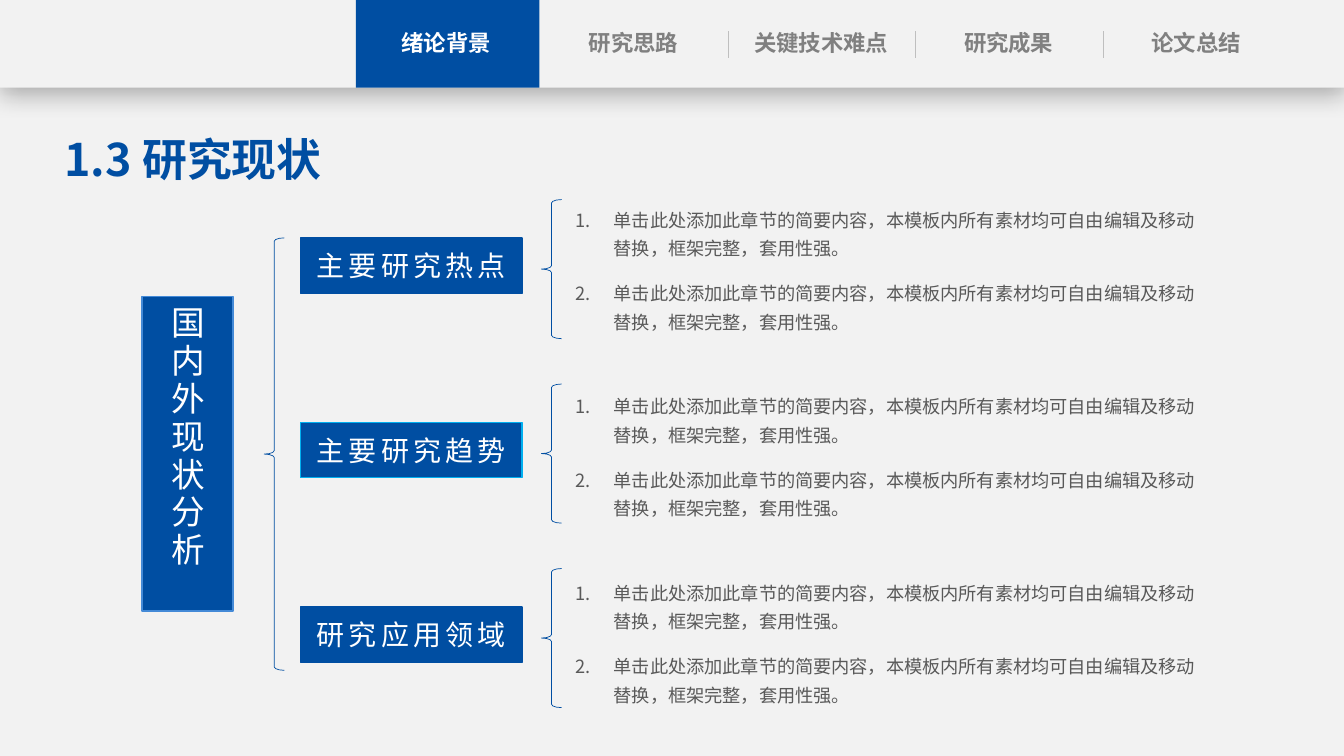
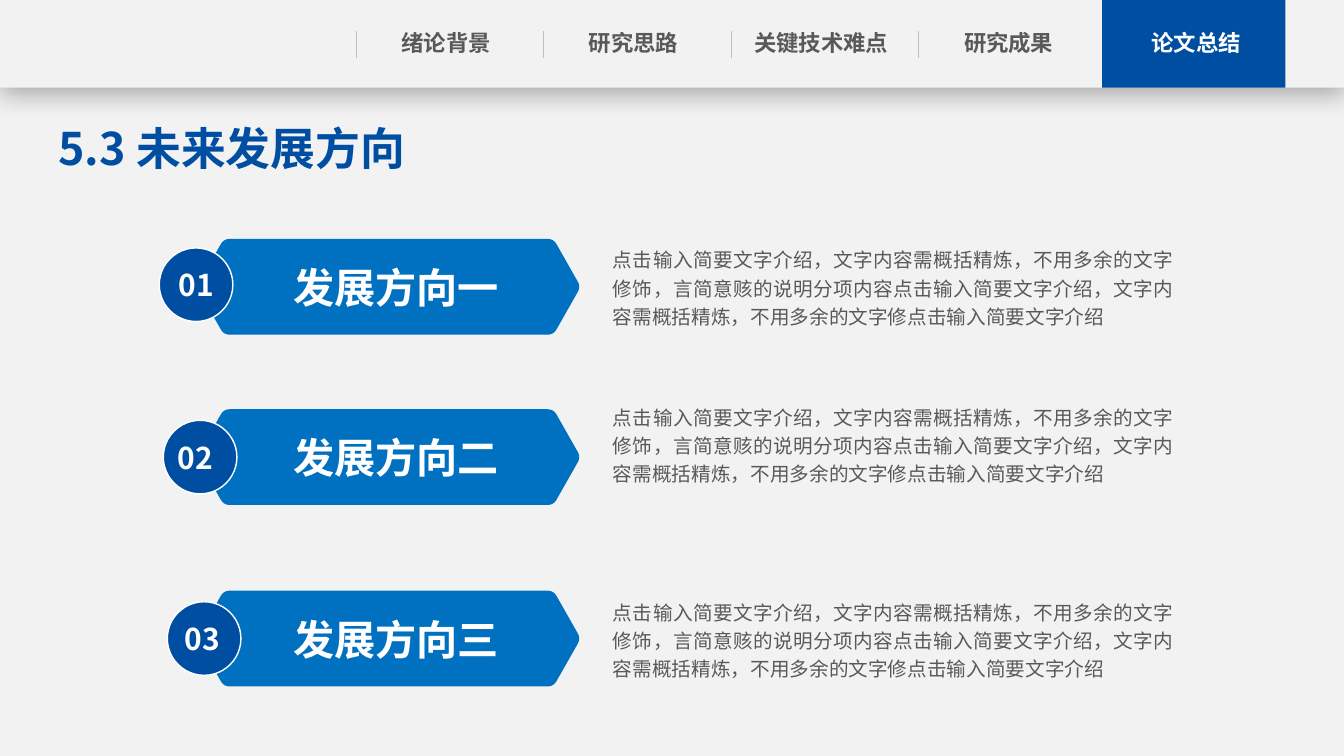
"""Builds two thesis-defence slides: research status and future directions."""
import dataclasses

import lxml.etree
import pptx
import pptx.dml.color
import pptx.enum.shapes
import pptx.enum.text
import pptx.oxml.ns
import pptx.util

Inches = pptx.util.Inches
Pt = pptx.util.Pt
SHAPE = pptx.enum.shapes.MSO_SHAPE
ALIGN = pptx.enum.text.PP_ALIGN
ANCHOR = pptx.enum.text.MSO_ANCHOR
qn = pptx.oxml.ns.qn


@dataclasses.dataclass(frozen=True)
class Theme:
    font: str = "Noto Sans CJK SC"
    paper: str = "F2F2F2"
    navy: str = "004EA2"
    blue: str = "0070C0"
    cyan: str = "00B0F0"
    sky: str = "448AD7"
    white: str = "FFFFFF"
    body: str = "595959"
    muted: str = "808080"
    divider: str = "BFBFBF"
    title_size: float = 32
    direction_size: float = 29.4
    subject_size: float = 24
    badge_size: float = 21.4
    topic_size: float = 20
    nav_size: float = 16
    summary_size: float = 14
    list_size: float = 13


THEME = Theme()
SECTIONS = ["绪论背景", "研究思路", "关键技术难点", "研究成果", "论文总结"]
NAV_STEP = 1.86
BAND_HEIGHT = 0.87
TOPICS = [("主要研究热点", THEME.navy), ("主要研究趋势", THEME.cyan), ("研究应用领域", THEME.navy)]
TOPIC_NOTE = "单击此处添加此章节的简要内容，本模板内所有素材均可自由编辑及移动替换，框架完整，套用性强。"
DIRECTIONS = [
    ("01", "发展方向一", 2.37, 1.58, 2.46, 0, 2.42),
    ("02", "发展方向二", 4.06, 1.62, 4.17, 0.09, 3.98),
    ("03", "发展方向三", 5.86, 1.66, 5.97, 0.03, 5.92),
]
DIRECTION_NOTE = (
    "点击输入简要文字介绍，文字内容需概括精炼，不用多余的文字修饰，"
    "言简意赅的说明分项内容点击输入简要文字介绍，文字内容需概括精炼，"
    "不用多余的文字修点击输入简要文字介绍"
)


def rgb(color):
    return pptx.dml.color.RGBColor.from_string(color)


def write_text(shape, *paragraphs, size, color, bold=False, align=ALIGN.LEFT, anchor=ANCHOR.TOP,
               insets=(0.1, 0.05, 0.1, 0.05), tracking=0, line_spacing=None, gap=0,
               numbered=False, vertical=False):
    frame = shape.text_frame
    frame.word_wrap = True
    frame.auto_size = pptx.enum.text.MSO_AUTO_SIZE.NONE
    frame.vertical_anchor = anchor
    frame.margin_left, frame.margin_top, frame.margin_right, frame.margin_bottom = map(Inches, insets)
    if vertical:
        frame._txBody.bodyPr.set("vert", "eaVert")
    for index, text in enumerate(paragraphs):
        paragraph = frame.add_paragraph() if index else frame.paragraphs[0]
        paragraph.alignment = align
        paragraph.space_before = paragraph.space_after = Pt(gap)
        if line_spacing:
            paragraph.line_spacing = line_spacing
        if numbered:
            properties = paragraph._p.get_or_add_pPr()
            properties.set("marL", str(Inches(0.38)))
            properties.set("indent", str(-Inches(0.38)))
            lxml.etree.SubElement(properties, qn("a:buAutoNum"), type="arabicPeriod")
        run = paragraph.add_run()
        run.text = text
        run.font.size = Pt(size)
        run.font.bold = bold
        run.font.color.rgb = rgb(color)
        run.font.name = THEME.font
        run_properties = run._r.get_or_add_rPr()
        lxml.etree.SubElement(run_properties, qn("a:ea"), typeface=THEME.font)
        if tracking:
            run_properties.set("spc", str(tracking * 100))


def rounded_outline(corners, trim, steps=6):
    points = []
    for index, (x, y) in enumerate(corners):
        ends = []
        for nx, ny in (corners[index - 1], corners[(index + 1) % len(corners)]):
            share = trim / ((nx - x) ** 2 + (ny - y) ** 2) ** 0.5
            ends.append((x + (nx - x) * share, y + (ny - y) * share))
        (ax, ay), (bx, by) = ends
        for step in range(steps + 1):
            t = step / steps
            a, c, b = (1 - t) ** 2, 2 * t * (1 - t), t ** 2
            points.append((a * ax + c * x + b * bx, a * ay + c * y + b * by))
    return points


class Deck:
    def __init__(self, theme):
        self.theme = theme
        self.prs = pptx.Presentation()
        self.prs.slide_width, self.prs.slide_height = Inches(13.33), Inches(7.5)
        background = self.prs.slide_master.background.fill
        background.solid()
        background.fore_color.rgb = rgb(theme.paper)
        self.slide = None

    def paint(self, shape, fill=None, line=None, weight=1):
        shape.shadow.inherit = False
        if fill:
            shape.fill.solid()
            shape.fill.fore_color.rgb = rgb(fill)
        else:
            shape.fill.background()
        if line:
            shape.line.color.rgb = rgb(line)
            shape.line.width = Pt(weight)
        else:
            shape.line.fill.background()
        return shape

    def shape(self, kind, left, top, width, height, **look):
        box = map(Inches, (left, top, width, height))
        return self.paint(self.slide.shapes.add_shape(kind, *box), **look)

    def text(self, left, top, width, height, *paragraphs, **style):
        box = self.slide.shapes.add_textbox(*map(Inches, (left, top, width, height)))
        write_text(box, *paragraphs, **style)

    def brace(self, left, top, height):
        brace = self.shape(SHAPE.LEFT_BRACE, left, top, 0.2, height,
                           line=self.theme.navy, weight=0.5)
        brace.adjustments[0] = 0.17

    def divider(self, x):
        line = self.slide.shapes.add_connector(
            pptx.enum.shapes.MSO_CONNECTOR.STRAIGHT, *map(Inches, (x, 0.31, x, 0.58)))
        line.line.color.rgb = rgb(self.theme.divider)
        line.line.width = Pt(0.5)
        lxml.etree.SubElement(line._element.spPr, qn("a:effectLst"))

    def arrow(self, top, label):
        left, right, slope, height = 1.95, 5.76, 0.27, 0.95
        middle, bottom = top + height / 2, top + height
        corners = [(left + slope, top), (right - slope, top), (right, middle),
                   (right - slope, bottom), (left + slope, bottom), (left, middle)]
        points = [(Inches(x), Inches(y)) for x, y in rounded_outline(corners, 0.06)]
        builder = self.slide.shapes.build_freeform(*points[0])
        builder.add_line_segments(points[1:], close=True)
        arrow = self.paint(builder.convert_to_shape(), fill=self.theme.blue)
        write_text(arrow, label, size=self.theme.direction_size, color=self.theme.white, bold=True,
                   align=ALIGN.CENTER, anchor=ANCHOR.MIDDLE, insets=(0.15, 0, 0, 0))

    def badge(self, left, top, number, right_inset):
        badge = self.shape(SHAPE.OVAL, left, top, 0.73, 0.73,
                           fill=self.theme.navy, line=self.theme.white)
        write_text(badge, number, size=self.theme.badge_size, color=self.theme.white, bold=True,
                   align=ALIGN.CENTER, anchor=ANCHOR.MIDDLE, insets=(0, 0, right_inset, 0))

    def navigation(self, active, idle_color, dividers_from, divider_count):
        band = self.shape(SHAPE.RECTANGLE, 0, 0, 13.33, BAND_HEIGHT, fill=self.theme.paper)
        effects = band._element.spPr.find(qn("a:effectLst"))
        shadow = lxml.etree.SubElement(effects, qn("a:outerShdw"), blurRad=str(Pt(18)),
                                       dist=str(Pt(4)), dir="5400000", algn="t", rotWithShape="0")
        tint = lxml.etree.SubElement(shadow, qn("a:srgbClr"), val="000000")
        lxml.etree.SubElement(tint, qn("a:alpha"), val="29000")
        self.shape(SHAPE.RECTANGLE, 3.53 + 1.85 * active, 0, 1.82, BAND_HEIGHT,
                   fill=self.theme.navy)
        for index in range(divider_count):
            self.divider(dividers_from + NAV_STEP * index)
        for index, section in enumerate(SECTIONS):
            self.text(3.69 + NAV_STEP * index, 0.24, 1.47, 0.38, section, size=self.theme.nav_size,
                      color=self.theme.white if index == active else idle_color, bold=True,
                      align=ALIGN.CENTER, insets=(0, 0.05, 0, 0.05))

    def start(self, title, left, top, **navigation):
        self.slide = self.prs.slides.add_slide(self.prs.slide_layouts[5])
        heading = self.slide.shapes.title
        heading.left, heading.top = Inches(left), Inches(top)
        heading.width, heading.height = Inches(4.31), Inches(0.64)
        write_text(heading, title, size=self.theme.title_size, color=self.theme.navy, bold=True,
                   insets=(0, 0.05, 0, 0.05))
        self.navigation(**navigation)


def build_status(deck):
    theme = deck.theme
    deck.start("1.3 研究现状", 0.64, 1.26, active=0, idle_color=theme.muted,
               dividers_from=7.22, divider_count=3)
    label = dict(color=theme.white, align=ALIGN.CENTER, anchor=ANCHOR.MIDDLE, tracking=3)
    subject = deck.shape(SHAPE.RECTANGLE, 1.41, 2.94, 0.9, 3.12, fill=theme.navy, line=theme.sky)
    write_text(subject, "国内外现状分析", size=theme.subject_size, vertical=True, **label)
    deck.brace(2.62, 2.36, 4.29)
    for index, (topic, outline) in enumerate(TOPICS):
        top = 2.36 + 1.83 * index
        box = deck.shape(SHAPE.RECTANGLE, 2.98, top, 2.2, 0.55, fill=theme.navy, line=outline)
        write_text(box, topic, size=theme.topic_size, **label)
        deck.brace(5.37, top - 0.38, 1.38)
        deck.text(5.61, 1.96 + 1.85 * index, 6.34, 1.4, TOPIC_NOTE, TOPIC_NOTE,
                  size=theme.list_size, color=theme.body, line_spacing=1.3, gap=6, numbered=True)


def build_directions(deck):
    theme = deck.theme
    deck.start("5.3 未来发展方向", 0.58, 1.15, active=4, idle_color=theme.body,
               dividers_from=3.53, divider_count=4)
    for number, label, arrow_top, badge_left, badge_top, badge_inset, note_top in DIRECTIONS:
        deck.arrow(arrow_top, label)
        deck.badge(badge_left, badge_top, number, badge_inset)
        deck.text(6.08, note_top, 5.56, 0.84, DIRECTION_NOTE, size=theme.summary_size,
                  color=theme.body, align=ALIGN.JUSTIFY, insets=(0, 0, 0, 0), line_spacing=Pt(20))


def main():
    deck = Deck(THEME)
    build_status(deck)
    build_directions(deck)
    deck.prs.save("out.pptx")


if __name__ == "__main__":
    main()
